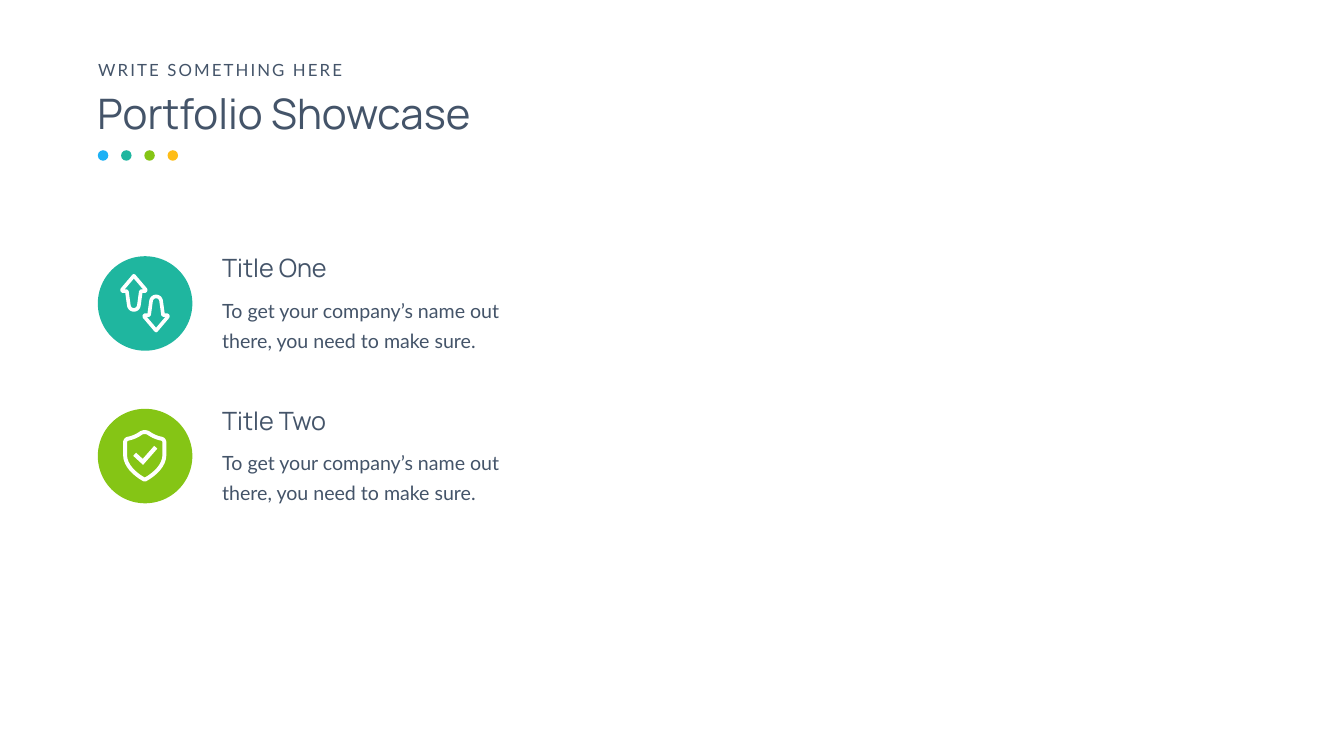
from pptx import Presentation
from pptx.dml.color import RGBColor
from pptx.enum.shapes import MSO_SHAPE as Preset
from pptx.enum.text import MSO_ANCHOR as Anchor, MSO_AUTO_SIZE as AutoSize, PP_ALIGN as Align
from pptx.oxml.ns import qn
from pptx.util import Pt
from lxml.etree import SubElement

INK, WHITE = "445469", "FFFFFF"
BLUE, TEAL, GREEN, AMBER = "1DB1F5", "1FB69F", "85C515", "FEBD17"
CIRCLE_SIZE = 135
DESCRIPTION = "To get your company’s name out there, you need to make sure."


def color(value):
    """Turn a hex string into a colour."""
    return RGBColor.from_string(value)


def place(shape, left, top, width, height):
    """Move and size a shape, in points."""
    shape.left, shape.top = Pt(left), Pt(top)
    shape.width, shape.height = Pt(width), Pt(height)


def write(shape, text, font="Lato", size=28, line_spacing=None, tracking=None):
    """Fill a shape with one left-aligned, vertically centred paragraph."""
    frame = shape.text_frame
    frame.word_wrap = True
    frame.auto_size = AutoSize.NONE
    frame.vertical_anchor = Anchor.MIDDLE
    paragraph = frame.paragraphs[0]
    paragraph.alignment = Align.LEFT
    paragraph.line_spacing = Pt(line_spacing) if line_spacing else 1.0
    run = paragraph.add_run()
    run.text = text
    run.font.name, run.font.size = font, Pt(size)
    run.font.color.rgb = color(INK)
    if tracking:
        run._r.get_or_add_rPr().set("spc", str(tracking * 100))


def add_text(slide, box, text, **style):
    """Add a text box in the given box."""
    shape = slide.shapes.add_textbox(0, 0, 0, 0)
    place(shape, *box)
    write(shape, text, **style)


def add_circle(slide, left, top, size, fill):
    """Add a plain filled circle."""
    shape = slide.shapes.add_shape(Preset.OVAL, Pt(left), Pt(top), Pt(size), Pt(size))
    shape.shadow.inherit = False
    shape.fill.solid()
    shape.fill.fore_color.rgb = color(fill)
    shape.line.fill.background()


def curve(start, control_one, control_two, end, steps=10):
    """Return points along a cubic curve, without its start."""
    points = []
    for step in range(1, steps + 1):
        t = step / steps
        weights = ((1 - t) ** 3, 3 * t * (1 - t) ** 2, 3 * t * t * (1 - t), t ** 3)
        corners = (start, control_one, control_two, end)
        points.append(tuple(sum(w * c[axis] for w, c in zip(weights, corners))
                            for axis in (0, 1)))
    return points


def mirror(half, center):
    """Complete a symmetrical outline from its right half."""
    return half + [(2 * center - x, y) for x, y in half[-2:0:-1]]


def add_stroke(slide, left, top, points, weight, close=True, join="round"):
    """Draw a white unfilled outline through points relative to a corner."""
    corners = [(Pt(x), Pt(y)) for x, y in points]
    builder = slide.shapes.build_freeform(*corners[0], scale=1.0)
    builder.add_line_segments(corners[1:], close=close)
    shape = builder.convert_to_shape(Pt(left), Pt(top))
    shape.shadow.inherit = False
    shape.fill.background()
    shape.line.color.rgb = color(WHITE)
    shape.line.width = Pt(weight)
    SubElement(shape.line._get_or_add_ln(), qn(f"a:{join}"))
    return shape


def add_arrows_icon(slide, left, top):
    """Draw an up arrow and the same arrow turned down, inside a circle."""
    half = [(19.8, 2.8), (36.8, 22.8), (36, 24.8), (29.8, 24.8), (27, 45)]
    half += curve(half[-1], (26.4, 49), (23.4, 51.5), (19.8, 51.5))
    arrow = mirror(half, 19.8)
    add_stroke(slide, left + 31.7, top + 25.2, arrow, 5.2)
    add_stroke(slide, left + 63.4, top + 54.7, arrow, 5.2).rotation = 180


def add_shield_icon(slide, left, top):
    """Draw a shield with a check mark, inside a circle."""
    half = [(31, 2.9)]
    half += curve(half[-1], (33.5, 2.9), (35.6, 3.6), (37.5, 5))
    half += curve(half[-1], (42, 8.2), (48, 11), (54.5, 12.2))
    half += curve(half[-1], (57.3, 12.7), (59.1, 15), (59.1, 18))
    half += [(59.1, 35.4)]
    half += curve(half[-1], (59.1, 55), (36, 68.5), (31, 70.9))
    check = [(16.6, 34.6), (28.4, 45.4), (46.8, 24.5)]
    add_stroke(slide, left + 36, top + 30.4, mirror(half, 31), 5.6)
    add_stroke(slide, left + 36, top + 30.4, check, 6, close=False, join="miter")


def add_header(slide, left, top):
    """Place the kicker, the title and the row of dots."""
    add_text(slide, (left, top, 370, 36), "WRITE SOMETHING HERE", size=24, tracking=3)
    place(slide.shapes.title, left - 1.2, top + 39.6, 636, 80)
    write(slide.shapes.title, "Portfolio Showcase", font="Manrope", size=60)
    for index, fill in enumerate((BLUE, TEAL, GREEN, AMBER)):
        add_circle(slide, left + 6.5 + index * 33.2, top + 133.2, 15, fill)


def add_feature(slide, left, top, title, fill, add_icon):
    """Place one circle with its icon, title and description."""
    add_circle(slide, left, top + 9, CIRCLE_SIZE, fill)
    add_icon(slide, left, top + 9)
    add_text(slide, (left + 170.6, top, 374, 51), title, font="Manrope", size=36)
    add_text(slide, (left + 170.6, top + 58.3, 425.5, 90), DESCRIPTION, line_spacing=43)


def main():
    """Build and save the slide."""
    presentation = Presentation()
    presentation.slide_width, presentation.slide_height = Pt(1919.5), Pt(1080)
    slide = presentation.slides.add_slide(presentation.slide_layouts[5])
    add_header(slide, 133.2, 81.4)
    features = (("Title One", TEAL, add_arrows_icon), ("Title Two", GREEN, add_shield_icon))
    for index, feature in enumerate(features):
        add_feature(slide, 139.7, 357 + index * 218, *feature)
    presentation.save("out.pptx")


if __name__ == "__main__":
    main()
